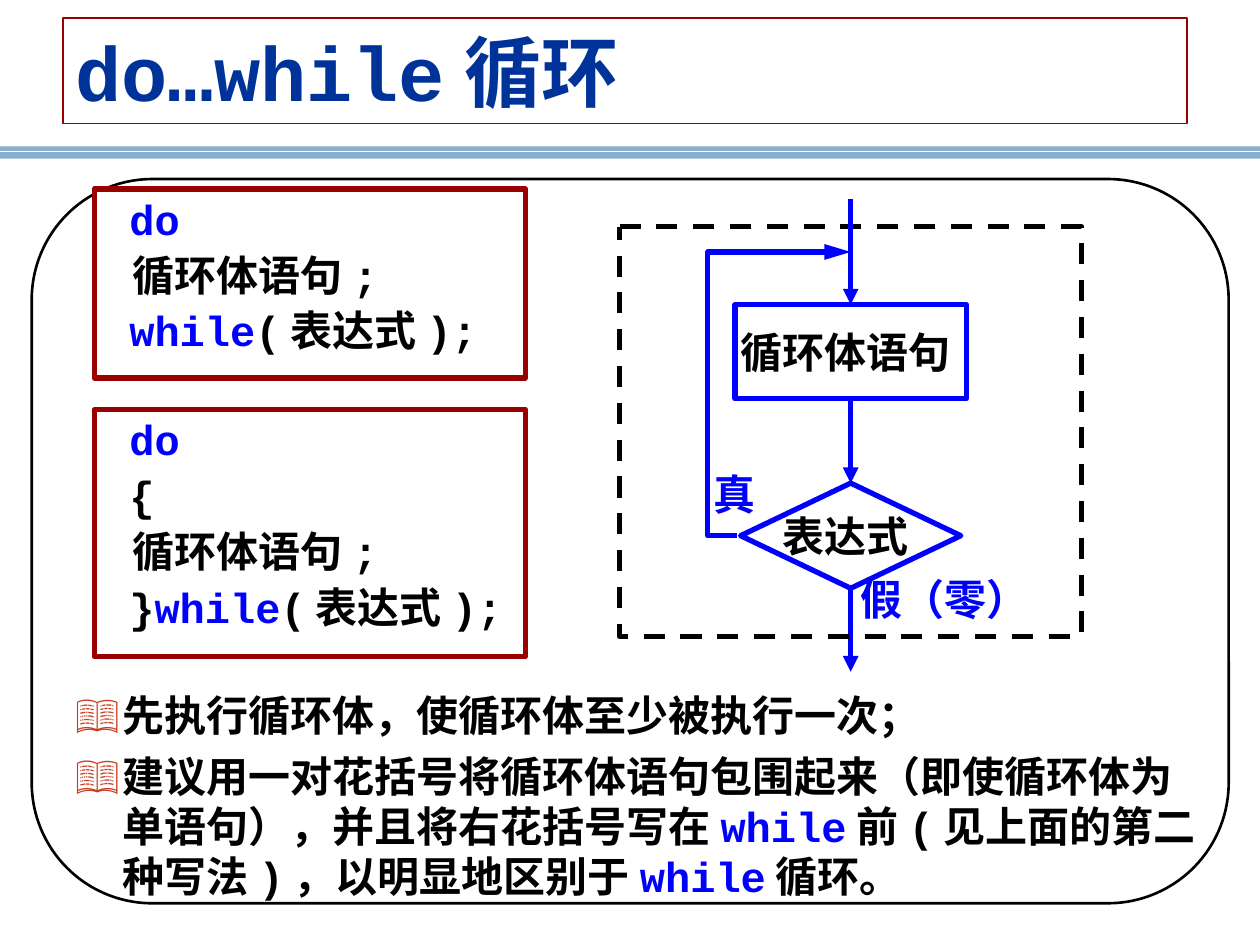
from lxml.etree import SubElement
from pptx import Presentation
from pptx.dml.color import RGBColor
from pptx.enum.dml import MSO_LINE
from pptx.enum.shapes import MSO_CONNECTOR, MSO_SHAPE as Shape
from pptx.enum.text import MSO_ANCHOR as Anchor, PP_ALIGN as Align
from pptx.oxml.ns import qn
from pptx.util import Cm, Pt

BLACK, WHITE, BLUE, RED = "000000", "FFFFFF", "0000FF", "990000"
CODE_FONT, CHART_FONT, LABEL_FONT = "Courier New", "Noto Sans CJK SC", "Arial"
AXIS = 17.15  # centre line of the flow chart, cm


def color(value):
    return RGBColor.from_string(value)


def set_line(line, line_color, width):
    line.color.rgb = color(line_color)
    line.width = Pt(width)


def add_box(slide, kind, place, fill=None, line=None, width=3):
    box = slide.shapes.add_shape(kind, *map(Cm, place))
    box.shadow.inherit = False
    if fill:
        box.fill.solid()
        box.fill.fore_color.rgb = color(fill)
    else:
        box.fill.background()
    if line:
        set_line(box.line, line, width)
    else:
        box.line.fill.background()
    return box


def add_spans(para, spans, font, size=24):
    """Fill a paragraph with bold (text, colour) spans."""
    for text, span_color in spans:
        span = para.add_run()
        span.text = text
        span.font.name, span.font.size, span.font.bold = font, Pt(size), True
        span.font.color.rgb = color(span_color)


def set_label(box, text, font, text_color):
    frame = box.text_frame
    frame.word_wrap = False
    frame.vertical_anchor = Anchor.MIDDLE
    frame.paragraphs[0].alignment = Align.CENTER
    add_spans(frame.paragraphs[0], [(text, text_color)], font)


def add_label(slide, text, place):
    set_label(slide.shapes.add_textbox(*map(Cm, place)), text, LABEL_FONT, BLUE)


def add_paragraphs(frame, rows):
    """Add one paragraph per row of spans and return them all."""
    for index, spans in enumerate(rows):
        para = frame.add_paragraph() if index else frame.paragraphs[0]
        para.space_before = Pt(6 if index else 0)
        add_spans(para, spans, CODE_FONT)
    return frame.paragraphs


def add_code(slide, place, rows):
    box = add_box(slide, Shape.RECTANGLE, place, WHITE, RED)
    frame = box.text_frame
    frame.word_wrap = True
    frame.vertical_anchor = Anchor.TOP
    frame.margin_left = frame.margin_right = Cm(0.2)
    frame.margin_top = frame.margin_bottom = Cm(0.2)
    for para in add_paragraphs(frame, rows):
        para.alignment = Align.LEFT
        para.line_spacing = 0.9


def add_bullet(para):
    props = para._p.get_or_add_pPr()
    props.set("marL", str(Cm(0.95)))
    props.set("indent", str(-Cm(0.95)))
    bullet_color = SubElement(props, qn("a:buClr"))
    SubElement(bullet_color, qn("a:srgbClr"), val="CA3B1E")
    SubElement(props, qn("a:buFont"), typeface=LABEL_FONT)
    SubElement(props, qn("a:buChar"), char="📖")


def add_arrowhead(shape, length="med"):
    SubElement(shape.line._get_or_add_ln(), qn("a:tailEnd"),
               type="triangle", w="med", len=length)


def add_line(slide, start, end, line_color, width):
    line = slide.shapes.add_connector(MSO_CONNECTOR.STRAIGHT, *map(Cm, start + end))
    set_line(line.line, line_color, width)
    SubElement(line._element.spPr, qn("a:effectLst"))
    return line


def add_arrow(slide, top, bottom, source=None, target=None):
    """Draw a downward arrow on the axis, joined to the given boxes."""
    arrow = add_line(slide, (AXIS, top), (AXIS, bottom), BLUE, 3)
    add_arrowhead(arrow)
    if source:
        arrow.begin_connect(source, 2)
    if target:
        arrow.end_connect(target, 0)


def add_loop_back(slide, points):
    corners = [(Cm(x), Cm(y)) for x, y in points]
    builder = slide.shapes.build_freeform(*corners[0], scale=1.0)
    builder.add_line_segments(corners[1:], close=False)
    loop = builder.convert_to_shape()
    loop.shadow.inherit = False
    loop.fill.background()
    set_line(loop.line, BLUE, 3)
    add_arrowhead(loop, "lg")


def add_background(slide):
    add_box(slide, Shape.FLOWCHART_ALTERNATE_PROCESS,
            (0.64, 3.61, 24.13, 14.6), line=BLACK, width=1.5)
    add_box(slide, Shape.RECTANGLE, (0, 2.95, 25.4, 0.25), fill="8AAECE")
    add_line(slide, (0, 3.05), (25.4, 3.05), WHITE, 0.75)


def set_title(slide, text):
    title = slide.shapes.title
    title.left, title.top, title.width, title.height = map(Cm, (1.27, 0.36, 22.66, 2.13))
    set_line(title.line, RED, 1)
    title.text_frame.vertical_anchor = Anchor.MIDDLE
    para = title.text_frame.paragraphs[0]
    para.alignment = Align.LEFT
    add_spans(para, [(text, "003399")], CODE_FONT, 44)


def add_notes_text(slide, rows):
    box = slide.shapes.add_textbox(*map(Cm, (1.27, 13.77, 23.29, 4.65)))
    box.text_frame.word_wrap = True
    for para in add_paragraphs(box.text_frame, rows):
        add_bullet(para)


def add_flow_chart(slide):
    decision = add_box(slide, Shape.FLOWCHART_DECISION,
                       (AXIS - 2.22, 9.74, 4.44, 2.12), line=BLUE)
    set_label(decision, "表达式 ", CHART_FONT, BLACK)
    process = add_box(slide, Shape.FLOWCHART_PROCESS,
                      (AXIS - 2.33, 6.14, 4.66, 1.9), line=BLUE)
    set_label(process, "循环体语句 ", CHART_FONT, BLACK)
    add_arrow(slide, 8.04, 9.74, process, decision)
    add_arrow(slide, 11.86, 13.54, decision)
    frame = add_box(slide, Shape.FLOWCHART_PROCESS, (12.49, 4.57, 9.31, 8.26), line=BLACK)
    frame.line.dash_style = MSO_LINE.DASH
    add_loop_back(slide, [(14.86, 10.8), (14.27, 10.8), (14.27, 5.08), (AXIS, 5.08)])
    add_label(slide, "假（零）", (16.95, 11.64, 4.2, 0.85))
    add_label(slide, "真", (14.14, 9.53, 1.27, 0.85))
    add_arrow(slide, 4.01, 6.14, target=process)


def main():
    deck = Presentation()
    deck.slide_width, deck.slide_height = Cm(25.4), Cm(19.05)
    slide = deck.slides.add_slide(deck.slide_layouts[5])

    add_background(slide)
    set_title(slide, "do…while循环")
    add_notes_text(slide, [
        [("先执行循环体，使循环体至少被执行一次；", BLACK)],
        [("建议用一对花括号将循环体语句包围起来（即使循环体为单语句），并且将右花括号写在", BLACK),
         ("while", BLUE), ("前(见上面的第二种写法)，以明显地区别于", BLACK),
         ("while", BLUE), ("循环。", BLACK)],
    ])

    # Both ways to write the loop
    do_row = [(" ", BLACK), ("do", BLUE)]
    body_row = [("   循环体语句;", BLACK)]
    while_spans = [("while", BLUE), ("(表达式);", BLACK)]
    add_code(slide, (1.9, 3.81, 8.69, 3.81),
             [do_row, body_row, [(" ", BLACK)] + while_spans])
    add_code(slide, (1.9, 8.26, 8.69, 4.98),
             [do_row, [(" {", BLACK)], body_row, [(" }", BLACK)] + while_spans])

    add_flow_chart(slide)
    deck.save("out.pptx")


if __name__ == "__main__":
    main()
